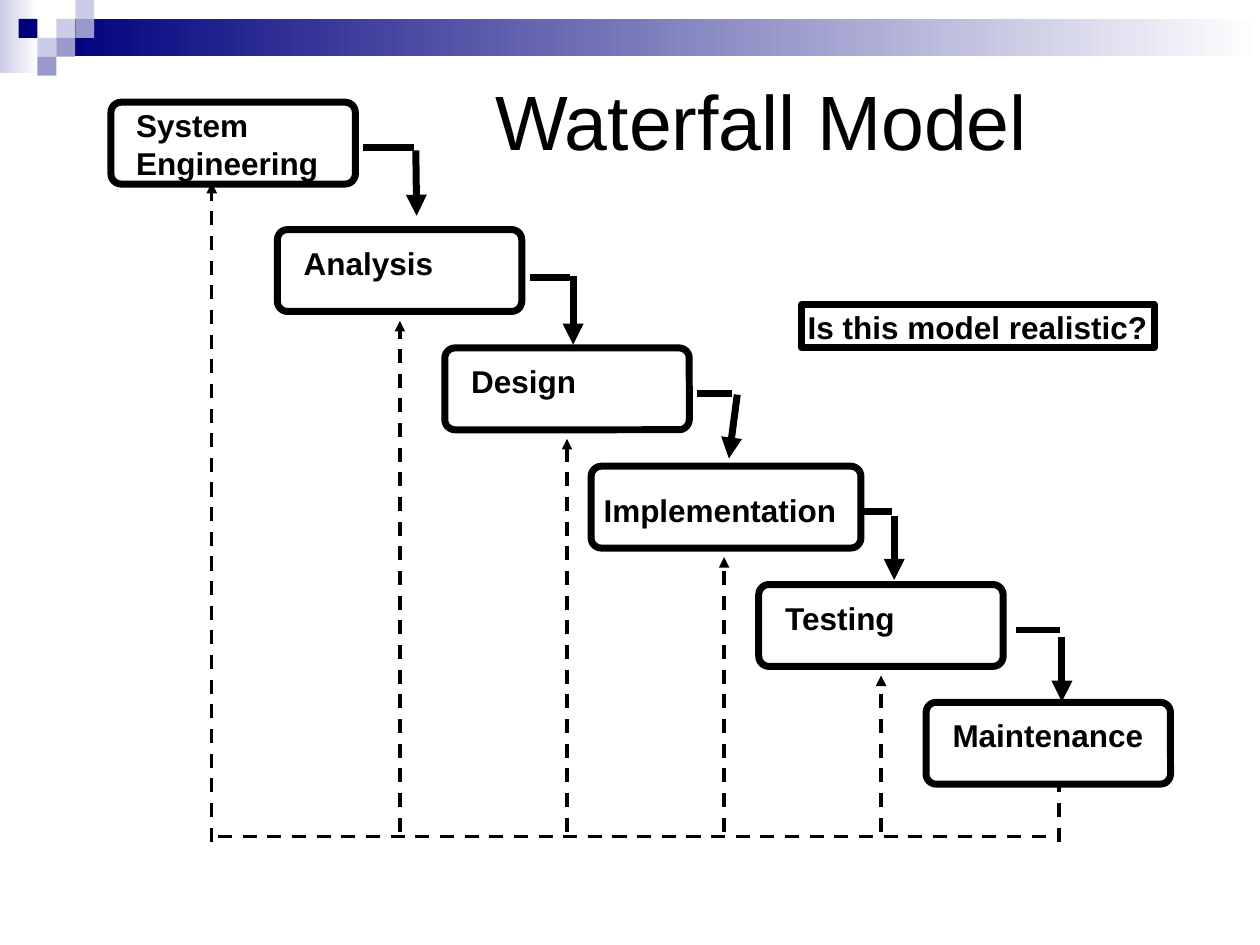
from dataclasses import dataclass

from lxml.etree import SubElement
from pptx import Presentation
from pptx.dml.color import RGBColor
from pptx.enum.dml import MSO_LINE
from pptx.enum.shapes import MSO_CONNECTOR, MSO_SHAPE
from pptx.enum.text import MSO_ANCHOR, PP_ALIGN
from pptx.oxml.ns import qn
from pptx.util import Pt


@dataclass(frozen=True)
class Theme:
    font: str = "Arial"
    ink: str = "000000"
    paper: str = "FFFFFF"
    navy: str = "00007D"
    lilac: str = "9999CC"
    pale: str = "CCCCE6"
    title_size: float = 44
    label_size: float = 18
    thick: float = 4
    thin: float = 2


def apply(target, values):
    for name, value in values.items():
        setattr(target, name, value)


class SlideBuilder:
    def __init__(self, slide, theme):
        self.slide = slide
        self.theme = theme

    def shape(self, kind, left, top, width, height):
        shape = self.slide.shapes.add_shape(
            kind, Pt(left), Pt(top), Pt(width), Pt(height))
        shape.shadow.inherit = False
        return shape

    def square(self, left, top, size, color):
        shape = self.shape(MSO_SHAPE.RECTANGLE, left, top, size, size)
        shape.fill.solid()
        shape.fill.fore_color.rgb = RGBColor.from_string(color)
        shape.line.fill.background()

    def fading_bar(self, left, top, width, height, color):
        shape = self.shape(MSO_SHAPE.RECTANGLE, left, top, width, height)
        shape.fill.gradient()
        shape.fill.gradient_angle = 0
        for stop, stop_color in zip(shape.fill.gradient_stops, (color, self.theme.paper)):
            stop.color.rgb = RGBColor.from_string(stop_color)
        shape.line.fill.background()

    def frame(self, kind, left, top, width, height):
        shape = self.shape(kind, left, top, width, height)
        shape.fill.background()
        self.stroke(shape.line, self.theme.thick)
        if kind == MSO_SHAPE.ROUNDED_RECTANGLE:
            shape.adjustments[0] = 0.125
        return shape

    def stroke(self, line, weight):
        line.color.rgb = RGBColor.from_string(self.theme.ink)
        line.width = Pt(weight)

    def line(self, start, end, dashed=False, arrow=False):
        connector = self.slide.shapes.add_connector(
            MSO_CONNECTOR.STRAIGHT, *map(Pt, start + end))
        self.stroke(connector.line, self.theme.thin if dashed else self.theme.thick)
        if dashed:
            connector.line.dash_style = MSO_LINE.DASH
        properties = connector._element.spPr
        if arrow:
            SubElement(properties.find(qn("a:ln")), qn("a:tailEnd"), type="triangle")
        SubElement(properties, qn("a:effectLst"))

    def fill_text(self, shape, lines, size, bold, frame_format):
        frame = shape.text_frame
        apply(frame, frame_format)
        frame.text = "\n".join(lines)
        for paragraph in frame.paragraphs:
            paragraph.alignment = PP_ALIGN.LEFT
            apply(paragraph.font, {"name": self.theme.font, "size": Pt(size), "bold": bold})
            paragraph.font.color.rgb = RGBColor.from_string(self.theme.ink)

    def text_box(self, left, top, width, height):
        return self.slide.shapes.add_textbox(Pt(left), Pt(top), Pt(width), Pt(height))

    def title(self, text, *bounds):
        self.fill_text(self.text_box(*bounds), [text], self.theme.title_size, False,
                       {"word_wrap": True, "vertical_anchor": MSO_ANCHOR.BOTTOM})

    def label(self, shape, lines):
        self.fill_text(shape, lines, self.theme.label_size, True, {
            "word_wrap": False, "vertical_anchor": MSO_ANCHOR.TOP,
            "margin_left": Pt(3.6), "margin_right": Pt(3.6),
            "margin_top": Pt(1.7), "margin_bottom": Pt(1.7)})


STAGE_HEIGHT = 46.8
# lines, frame left, top, width, label offset x, y, label width
STAGES = [
    (["System", "Engineering"], 63.4, 58.4, 139.7, 10.8, 0.7, 111.6),
    (["Analysis"], 158.5, 131.2, 139.7, 11.5, 6.4, 81.4),
    (["Design"], 254.2, 198.8, 139.7, 11.5, 6.4, 67.7),
    (["Implementation"], 337.8, 266.4, 154.2, 3.5, 12.2, 140.4),
    (["Testing"], 433.6, 334, 139.7, 11.5, 6.4, 71.3),
    (["Maintenance"], 529.2, 401.3, 139.7, 11.5, 6.4, 116.6),
]
# horizontal start, horizontal end, then start and end of the arrow down
STEPS = [
    ((207.4, 84.3), 236.4, (237.6, 85.9), (238.1, 123.3)),
    ((303, 158.5), 325.6, (327.5, 157.9), (327.5, 196.9)),
    ((398.3, 225.1), 418.3, (421.3, 225.5), (416.5, 262)),
    ((493.6, 292.5), 509.8, (511, 295), (511, 331.4)),
    ((580.4, 360), 605.6, (606.8, 363.8), (606.8, 401)),
]
# arrow x, arrow tip y
FEEDBACK = [(228.5, 183.4), (324, 250.8), (413.8, 318.4), (503.5, 386)]


def draw_banner(builder):
    theme = builder.theme
    builder.fading_bar(0, 0, 22, 41.8, theme.pale)
    builder.fading_bar(32.4, 10.8, 687.6, 21.2, theme.navy)
    cell = 10.8
    for column, row, color in [
        (3, 1, theme.pale), (4, 0, theme.pale), (4, 1, theme.lilac), (2, 2, theme.pale),
        (1, 1, theme.navy), (3, 2, theme.lilac), (2, 3, theme.lilac),
    ]:
        builder.square(column * cell - 0.2, row * cell, cell, color)


def draw_waterfall(builder):
    for _, left, top, width, *_ in STAGES:
        builder.frame(MSO_SHAPE.ROUNDED_RECTANGLE, left, top, width, STAGE_HEIGHT)
    for start, corner_x, drop, tip in STEPS:
        builder.line(start, (corner_x, start[1]))
        builder.line(drop, tip, arrow=True)


def draw_feedback(builder):
    builder.line((124.6, 478.1), (602, 478.1), dashed=True)
    builder.line((121, 481), (121, 104.4), dashed=True, arrow=True)
    builder.line((605, 481), (605, 447.2), dashed=True)
    for x, tip in FEEDBACK:
        builder.line((x, 475.2), (x, tip), dashed=True, arrow=True)


def draw_labels(builder):
    for lines, left, top, _, offset_x, offset_y, width in STAGES:
        height = 3.4 + 21 * len(lines)
        builder.label(
            builder.text_box(left + offset_x, top + offset_y, width, height), lines)
    question = builder.frame(MSO_SHAPE.RECTANGLE, 458, 174.2, 201.6, 24.4)
    builder.label(question, ["Is this model realistic?"])


def main():
    presentation = Presentation()
    apply(presentation, {"slide_width": Pt(720), "slide_height": Pt(540)})
    slide = presentation.slides.add_slide(presentation.slide_layouts[6])
    builder = SlideBuilder(slide, Theme())
    draw_banner(builder)
    builder.title("Waterfall Model", 275.8, 48.2, 401.8, 50.4)
    draw_waterfall(builder)
    draw_feedback(builder)
    draw_labels(builder)
    presentation.save("out.pptx")


if __name__ == "__main__":
    main()
